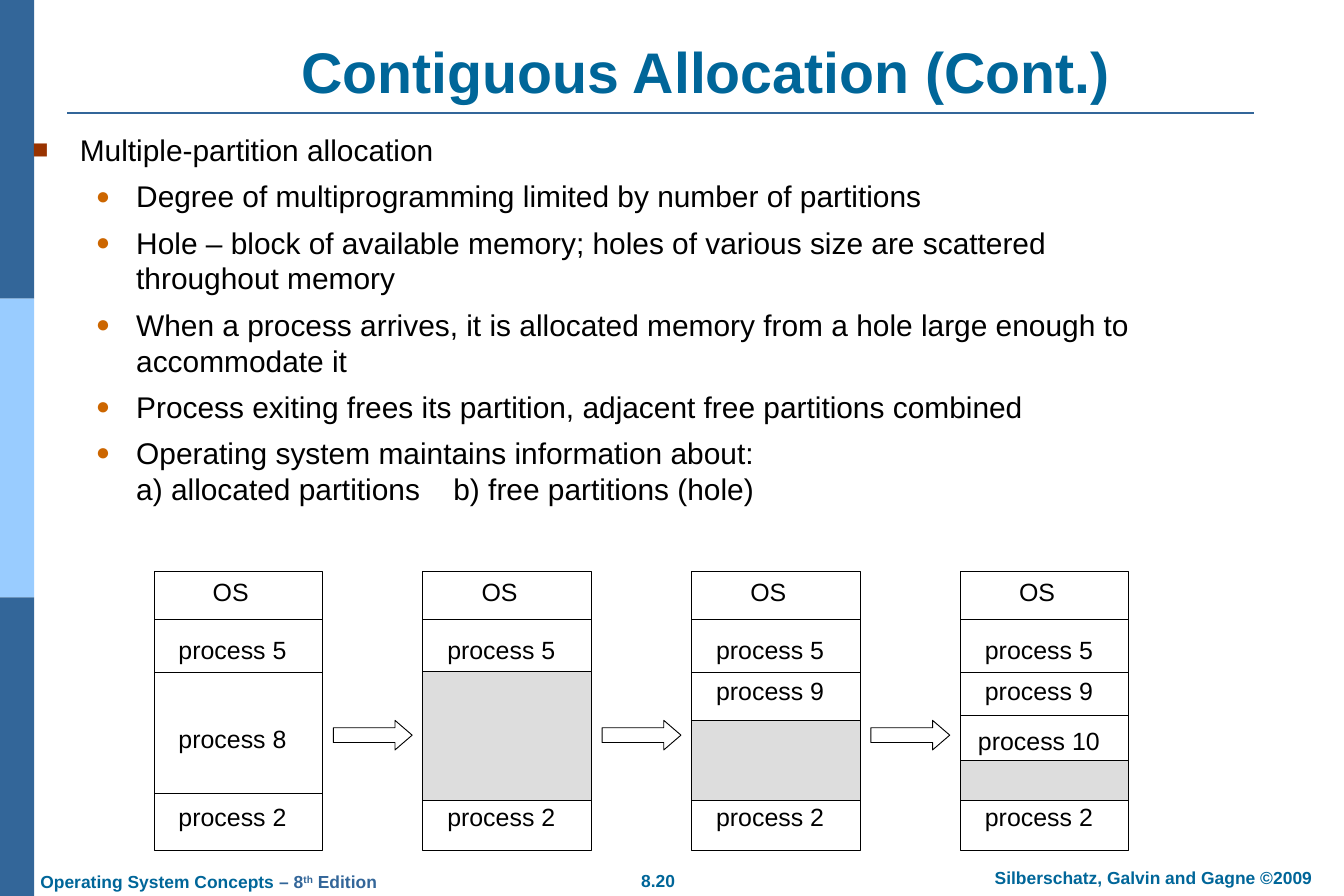
from lxml.etree import SubElement
from pptx import Presentation
from pptx.dml.color import RGBColor
from pptx.enum.shapes import MSO_CONNECTOR, MSO_SHAPE
from pptx.enum.text import MSO_ANCHOR, MSO_AUTO_SIZE, PP_ALIGN
from pptx.oxml.ns import qn
from pptx.util import Inches, Pt

COLORS = {
    "navy": "336699",
    "sky": "99CCFF",
    "teal": "006699",
    "rust": "993300",
    "orange": "CC6600",
    "hole": "DDDDDD",
    "white": "FFFFFF",
    "black": "000000",
}

TOPIC = "Multiple-partition allocation"
POINTS = [
    "Degree of multiprogramming limited by number of partitions",
    "Hole – block of available memory; holes of various size are scattered throughout memory",
    "When a process arrives, it is allocated memory from a hole large enough to accommodate it",
    "Process exiting frees its partition, adjacent free partitions combined",
    "Operating system maintains information about:\va) allocated partitions\tb) free partitions (hole)",
]

MEMORY_LEFT, MEMORY_STEP, MEMORY_WIDTH = 1.72, 3, 1.88
MEMORY_TOP, MEMORY_HEIGHT = 6.38, 3.11
HOLE_BOTTOM = 8.93
COMMON_PROCESSES = {"process 5": 7.01, "process 2": 8.87}
MEMORY_STATES = [
    {"dividers": [6.91, 7.51, 8.86], "hole_top": None, "processes": {"process 8": 8}},
    {"dividers": [6.91], "hole_top": 7.49, "processes": {}},
    {"dividers": [6.91, 7.51], "hole_top": 8.04, "processes": {"process 9": 7.47}},
    {"dividers": [6.91, 7.51, 7.98], "hole_top": 8.49,
     "processes": {"process 9": 7.47, "process 10": 8.02}},
]


def rgb(name):
    return RGBColor.from_string(COLORS[name])


def write(paragraph, text, *, size, color="black", bold=False, raised=False, align=None):
    if align is not None:
        paragraph.alignment = align
    for index, part in enumerate(text.split("\v")):
        if index:
            paragraph.add_line_break()
        run = paragraph.add_run()
        run.text = part
        run.font.name = "Arial"
        run.font.size = Pt(size)
        run.font.bold = bold
        run.font.color.rgb = rgb(color)
        if raised:
            run.font._element.set("baseline", "30000")


def add_bullet(paragraph, symbol, color, percent, margin, hanging, tab=None):
    properties = paragraph._p.get_or_add_pPr()
    properties.set("marL", str(Inches(margin)))
    properties.set("indent", str(-Inches(hanging)))
    bullet_color = SubElement(properties, qn("a:buClr"))
    SubElement(bullet_color, qn("a:srgbClr"), val=COLORS[color])
    SubElement(properties, qn("a:buSzPct"), val=str(percent * 1000))
    SubElement(properties, qn("a:buFont"), typeface="Arial")
    SubElement(properties, qn("a:buChar"), char=symbol)
    if tab:
        stops = SubElement(properties, qn("a:tabLst"))
        SubElement(stops, qn("a:tab"), pos=str(Inches(tab)), algn="l")


class MemorySlide:
    def __init__(self, presentation):
        self.slide = presentation.slides.add_slide(presentation.slide_layouts[5])
        self.shapes = self.slide.shapes

    def set_margins(self, frame):
        frame.margin_left = frame.margin_right = Inches(0.14)
        frame.margin_top = frame.margin_bottom = Inches(0.07)

    def title(self, text, left, top, width, height):
        heading = self.shapes.title
        heading.left, heading.top = Inches(left), Inches(top)
        heading.width, heading.height = Inches(width), Inches(height)
        frame = heading.text_frame
        self.set_margins(frame)
        frame.word_wrap = True
        frame.auto_size = MSO_AUTO_SIZE.NONE
        frame.vertical_anchor = MSO_ANCHOR.BOTTOM
        write(frame.paragraphs[0], text, size=46, color="teal", bold=True, align=PP_ALIGN.CENTER)

    def text_area(self, left, top, width, height, wrap=True, anchor=MSO_ANCHOR.TOP, grow=True):
        area = self.shapes.add_textbox(Inches(left), Inches(top), Inches(width), Inches(height))
        frame = area.text_frame
        self.set_margins(frame)
        frame.word_wrap = wrap
        frame.vertical_anchor = anchor
        frame.auto_size = MSO_AUTO_SIZE.SHAPE_TO_FIT_TEXT if grow else MSO_AUTO_SIZE.NONE
        return frame

    def label(self, text, left, top, width, wrap=True):
        frame = self.text_area(left, top, width, 0.48, wrap, MSO_ANCHOR.MIDDLE)
        write(frame.paragraphs[0], text, size=20, align=PP_ALIGN.CENTER)

    def footer(self, pieces, left, top, width, wrap=False, align=PP_ALIGN.CENTER):
        paragraph = self.text_area(left, top, width, 0.38, wrap).paragraphs[0]
        for text, color, raised in pieces:
            write(paragraph, text, size=14, color=color, bold=True, raised=raised, align=align)

    def block(self, left, top, width, height, fill, line=None, kind=MSO_SHAPE.RECTANGLE):
        block = self.shapes.add_shape(
            kind, Inches(left), Inches(top), Inches(width), Inches(height))
        block.shadow.inherit = False
        block.fill.solid()
        block.fill.fore_color.rgb = rgb(fill)
        if line:
            block.line.color.rgb = rgb(line)
            block.line.width = Pt(0.75)
        else:
            block.line.fill.background()
        return block

    def arrow(self, left, top):
        arrow = self.block(left, top, 0.88, 0.33, "white", "black", MSO_SHAPE.RIGHT_ARROW)
        arrow.adjustments[0] = 0.5
        arrow.adjustments[1] = 0.58

    def rule(self, left, right, y, color="black", weight=0.75):
        rule = self.shapes.add_connector(
            MSO_CONNECTOR.STRAIGHT, Inches(left), Inches(y), Inches(right), Inches(y))
        rule.line.color.rgb = rgb(color)
        rule.line.width = Pt(weight)
        SubElement(rule._element.spPr, qn("a:effectLst"))

    def outline(self, topic, points):
        frame = self.text_area(0.22, 1.4, 12.75, 4.76, grow=False)
        heading = frame.paragraphs[0]
        add_bullet(heading, "■", "rust", 90, 0.53, 0.53)
        write(heading, topic, size=24)
        for point in points:
            paragraph = frame.add_paragraph()
            paragraph.level = 1
            paragraph.space_before = Pt(8.4)
            add_bullet(paragraph, "●", "orange", 80, 1.16, 0.45, 4.7 if "\t" in point else None)
            write(paragraph, point, size=24)

    def memory(self, left, dividers, hole_top, processes):
        self.block(left, MEMORY_TOP, MEMORY_WIDTH, MEMORY_HEIGHT, "white", "black")
        if hole_top:
            self.block(left, hole_top, MEMORY_WIDTH, HOLE_BOTTOM - hole_top, "hole", "black")
        for y in dividers:
            self.rule(left, left + MEMORY_WIDTH, y)
        self.label("OS", left + 0.51, 6.36, 0.69, wrap=False)
        for process, top in (COMMON_PROCESSES | processes).items():
            self.label(process, left, top, 1.75)


def main():
    presentation = Presentation()
    presentation.slide_width, presentation.slide_height = Inches(15), Inches(10)
    page = MemorySlide(presentation)

    for index, color in enumerate(["navy", "sky", "navy"]):
        page.block(0, index * 10 / 3, 0.38, 10 / 3, color)
    page.rule(0.75, 14, 1.26, "navy", 1.5)
    page.footer([("8.20", "teal", False)], 7, 9.64, 0.69)
    page.footer([("Silberschatz, Galvin and Gagne ©2009", "teal", False)],
                10.65, 9.61, 4.45, wrap=True)
    page.footer([("Operating System Concepts", "teal", False), (" – 8", "navy", False),
                 ("th", "navy", True), (" Edition", "navy", False)],
                0.31, 9.65, 4.08, align=PP_ALIGN.LEFT)

    page.title("Contiguous Allocation (Cont.)", 1.5, 0.4, 12.75, 0.84)
    page.outline(TOPIC, POINTS)
    for index, state in enumerate(MEMORY_STATES):
        left = MEMORY_LEFT + index * MEMORY_STEP
        page.memory(left, **state)
        if index:
            page.arrow(left - 1, 8.04)
    presentation.save("out.pptx")


if __name__ == "__main__":
    main()
